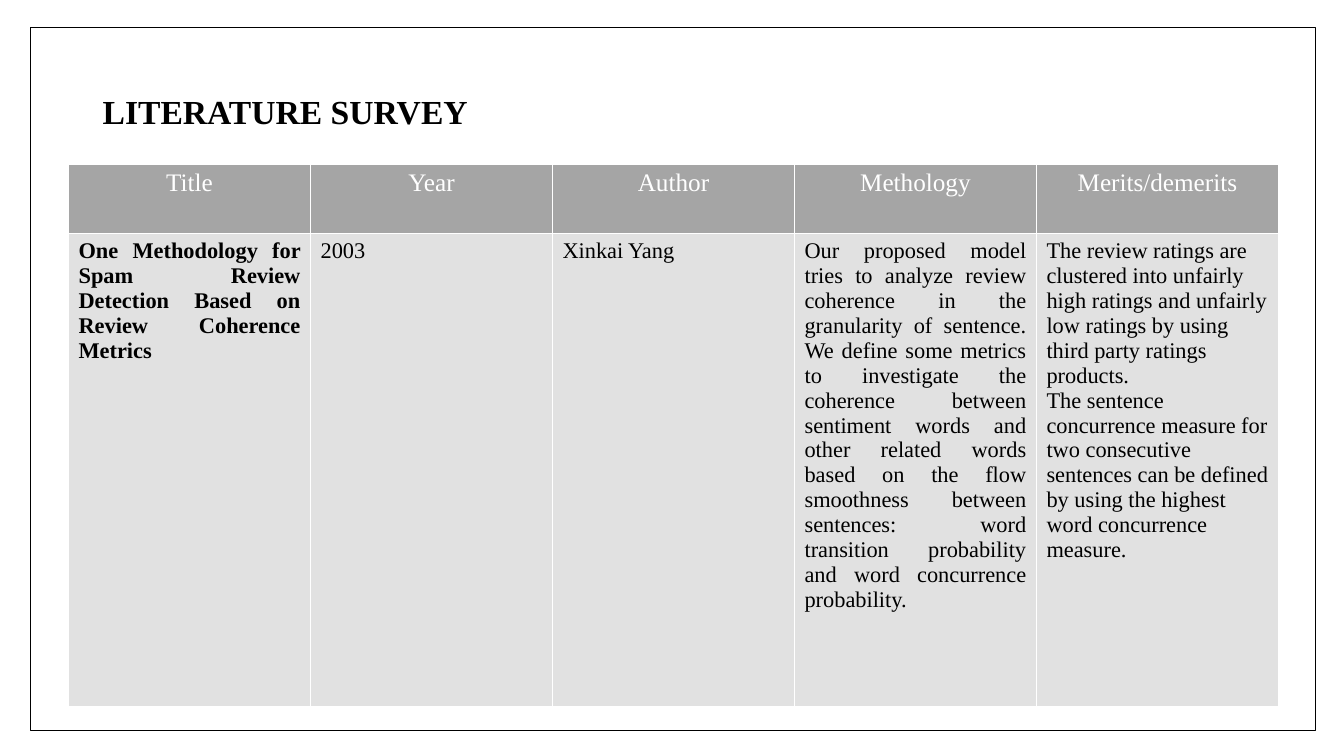
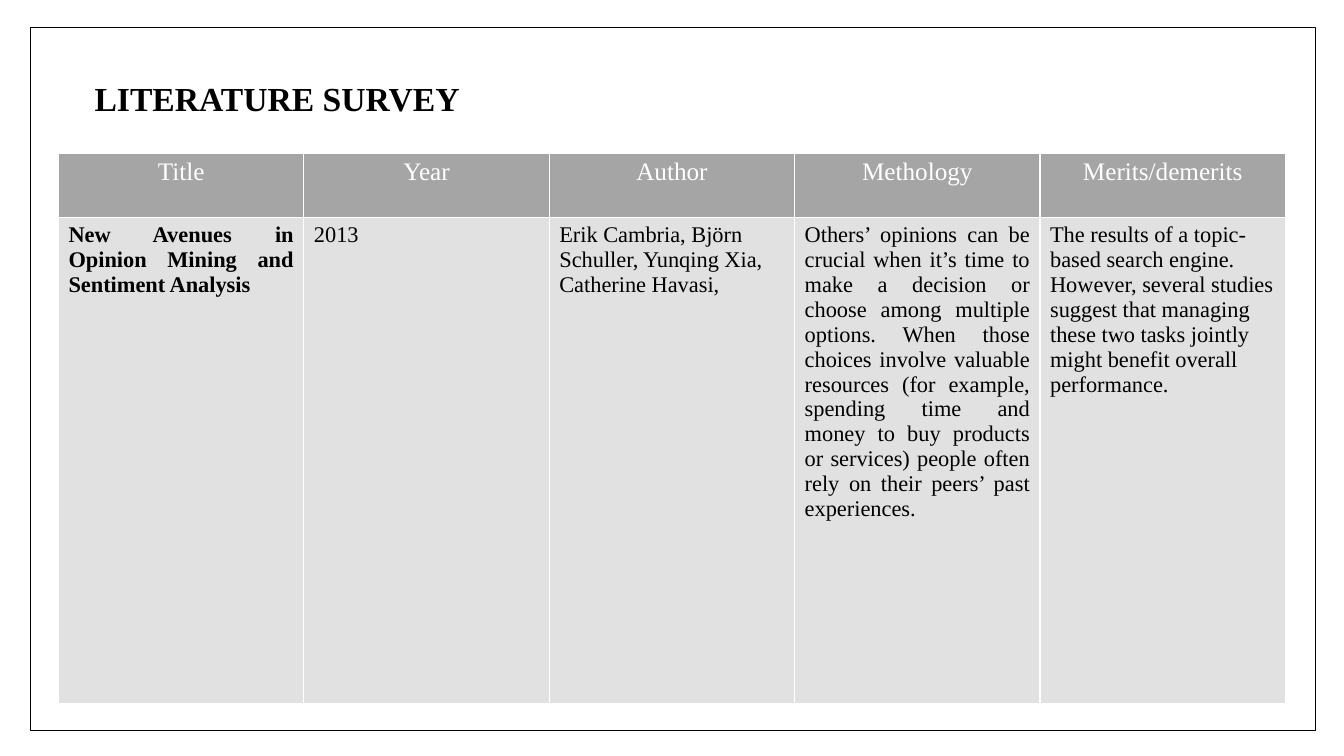
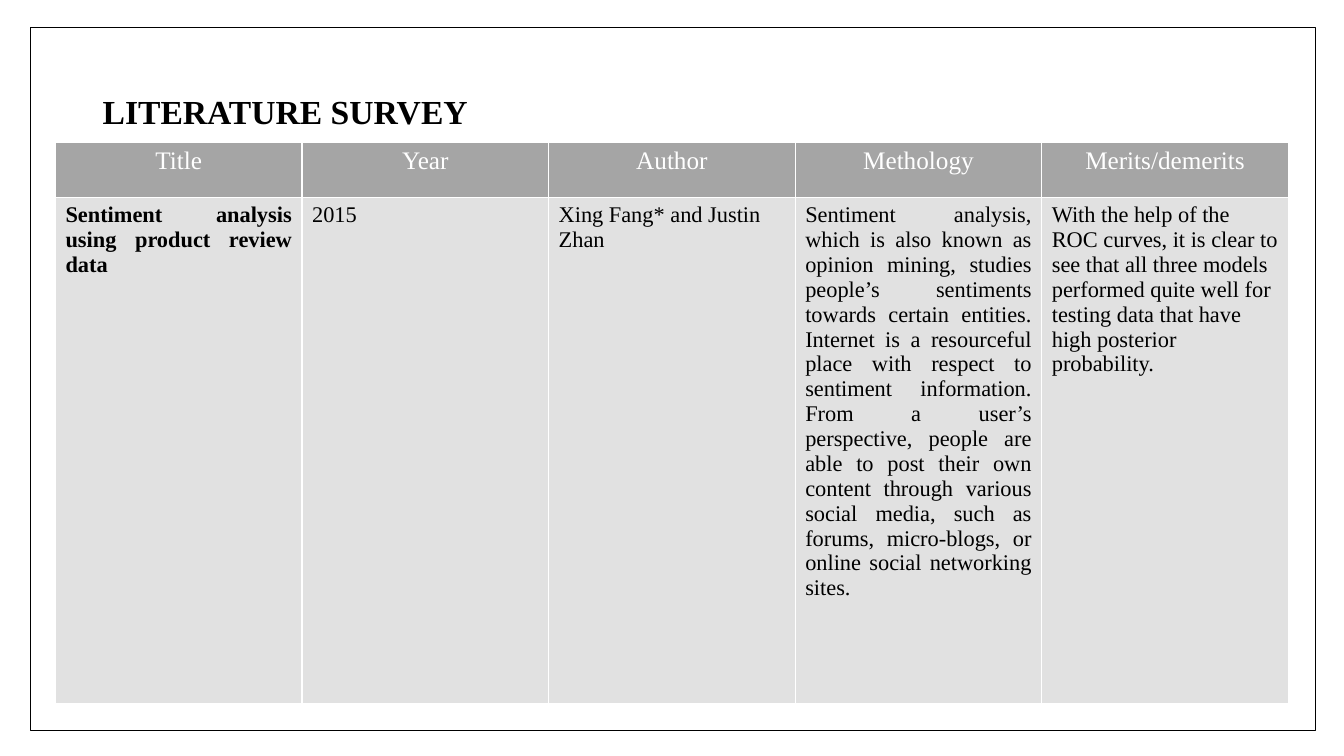
from lxml import etree
from pptx import Presentation
from pptx import util as u
from pptx.dml.color import RGBColor
from pptx.enum import shapes, text
from pptx.oxml.ns import qn

BLACK, WHITE, HEADER_GREY, BODY_GREY = "000000", "FFFFFF", "A5A5A5", "E1E1E1"
CENTER, JUSTIFY, LEFT = text.PP_ALIGN.CENTER, text.PP_ALIGN.JUSTIFY, text.PP_ALIGN.LEFT
HEADINGS = ["Title", "Year", "Author", "Methology", "Merits/demerits"]
BODY_ALIGNS = [JUSTIFY, JUSTIFY, LEFT, JUSTIFY, LEFT]


def color(value):
    return RGBColor.from_string(value)


class SurveyDeck:
    """Holds the survey style and the slide being built."""

    font = "Times New Roman"

    def __init__(self):
        self.deck = Presentation()
        self.deck.slide_width = u.Inches(13.33)
        self.deck.slide_height = u.Inches(7.5)
        self.slide = None

    def new_slide(self):
        self.slide = self.deck.slides.add_slide(self.deck.slide_layouts[6])
        background = self.slide.background.fill
        background.solid()
        background.fore_color.rgb = color(WHITE)

    def add_words(self, paragraph, words, size, ink, bold=False, align=LEFT):
        paragraph.alignment = align
        run = paragraph.add_run()
        run.text = words
        run.font.name = self.font
        run.font.size = u.Pt(size)
        run.font.bold = bold
        run.font.color.rgb = color(ink)

    def title(self, words, left, top):
        box = self.slide.shapes.add_textbox(
            u.Inches(left), u.Inches(top), u.Inches(11.5), u.Inches(1.45))
        frame = box.text_frame
        frame.word_wrap = True
        frame.vertical_anchor = text.MSO_ANCHOR.MIDDLE
        frame.paragraphs[0].line_spacing = 0.9
        self.add_words(frame.paragraphs[0], words, 24, BLACK, bold=True)

    def cell(self, cell, paragraphs, fill, size, ink, bold, align):
        cell.fill.solid()
        cell.fill.fore_color.rgb = color(fill)
        self.borders(cell)
        frame = cell.text_frame
        for index, words in enumerate(paragraphs):
            paragraph = frame.add_paragraph() if index else frame.paragraphs[0]
            self.add_words(paragraph, words, size, ink, bold, align)

    def borders(self, cell):
        properties = cell._tc.get_or_add_tcPr()
        for index, side in enumerate(("a:lnL", "a:lnR", "a:lnT", "a:lnB")):
            edge = etree.Element(qn(side), w=str(u.Pt(1)))
            fill = etree.SubElement(edge, qn("a:solidFill"))
            etree.SubElement(fill, qn("a:srgbClr"), val=WHITE)
            properties.insert(index, edge)

    def table(self, entry, left, top, width, row_heights):
        grid = self.slide.shapes.add_table(
            2, len(HEADINGS), u.Inches(left), u.Inches(top),
            u.Inches(width), u.Inches(sum(row_heights))).table
        grid.first_row = False
        grid.horz_banding = False
        for row, height in zip(grid.rows, row_heights):
            row.height = u.Inches(height)
        for index, heading in enumerate(HEADINGS):
            grid.columns[index].width = u.Inches(width / len(HEADINGS))
            self.cell(grid.cell(0, index), [heading], HEADER_GREY, 18, WHITE, False, CENTER)
            self.cell(grid.cell(1, index), entry[index], BODY_GREY, 16, BLACK,
                      index == 0, BODY_ALIGNS[index])

    def frame(self):
        border = self.slide.shapes.add_shape(
            shapes.MSO_SHAPE.RECTANGLE, u.Inches(0.3), u.Inches(0.27),
            u.Inches(12.75), u.Inches(6.98))
        border.shadow.inherit = False
        border.fill.background()
        border.line.color.rgb = color(BLACK)
        border.line.width = u.Pt(1)


SURVEYS = [
    {
        "title_at": (0.92, 0.4),
        "table_at": (0.68, 1.63, 12, (0.69, 4.69)),
        "entry": [
            ["One Methodology for Spam Review Detection Based on Review Coherence Metrics"],
            ["2003"],
            ["Xinkai Yang"],
            ["Our proposed model tries to analyze review coherence in the granularity of "
             "sentence. We define some metrics to investigate the coherence between sentiment "
             "words and other related words based on the flow smoothness between sentences: "
             "word transition probability and word concurrence probability."],
            ["The review ratings are clustered into unfairly high ratings and unfairly low "
             "ratings by using third party ratings products.",
             "The sentence concurrence measure for two consecutive sentences can be defined "
             "by using the highest word concurrence measure."],
        ],
    },
    {
        "title_at": (0.84, 0.27),
        "table_at": (0.58, 1.52, 12.17, (0.64, 4.82)),
        "entry": [
            ["New Avenues in Opinion Mining and Sentiment Analysis"],
            ["2013"],
            ["Erik Cambria, Björn Schuller, Yunqing Xia, Catherine Havasi,"],
            ["Others’ opinions can be crucial when it’s time to make a decision or choose "
             "among multiple options. When those choices involve valuable resources (for "
             "example, spending time and money to buy products or services) people often "
             "rely on their peers’ past experiences."],
            ["The results of a topic-based search engine. However, several studies suggest "
             "that managing these two tasks jointly might benefit overall performance."],
        ],
    },
    {
        "title_at": (0.92, 0.4),
        "table_at": (0.55, 1.41, 12.23, (0.55, 5.02)),
        "entry": [
            ["Sentiment analysis using product review data"],
            ["2015"],
            ["Xing Fang* and Justin Zhan"],
            ["Sentiment analysis, which is also known as opinion mining, studies people’s "
             "sentiments towards certain entities. Internet is a resourceful place with "
             "respect to sentiment information. From a user’s perspective, people are able "
             "to post their own content through various social media, such as forums, "
             "micro-blogs, or online social networking sites."],
            ["With the help of the ROC curves, it is clear to see that all three models "
             "performed quite well for testing data that have high posterior probability."],
        ],
    },
]


def main():
    survey_deck = SurveyDeck()
    for survey in SURVEYS:
        survey_deck.new_slide()
        survey_deck.title("LITERATURE SURVEY", *survey["title_at"])
        survey_deck.table(survey["entry"], *survey["table_at"])
        survey_deck.frame()
    survey_deck.deck.save("out.pptx")


if __name__ == "__main__":
    main()
